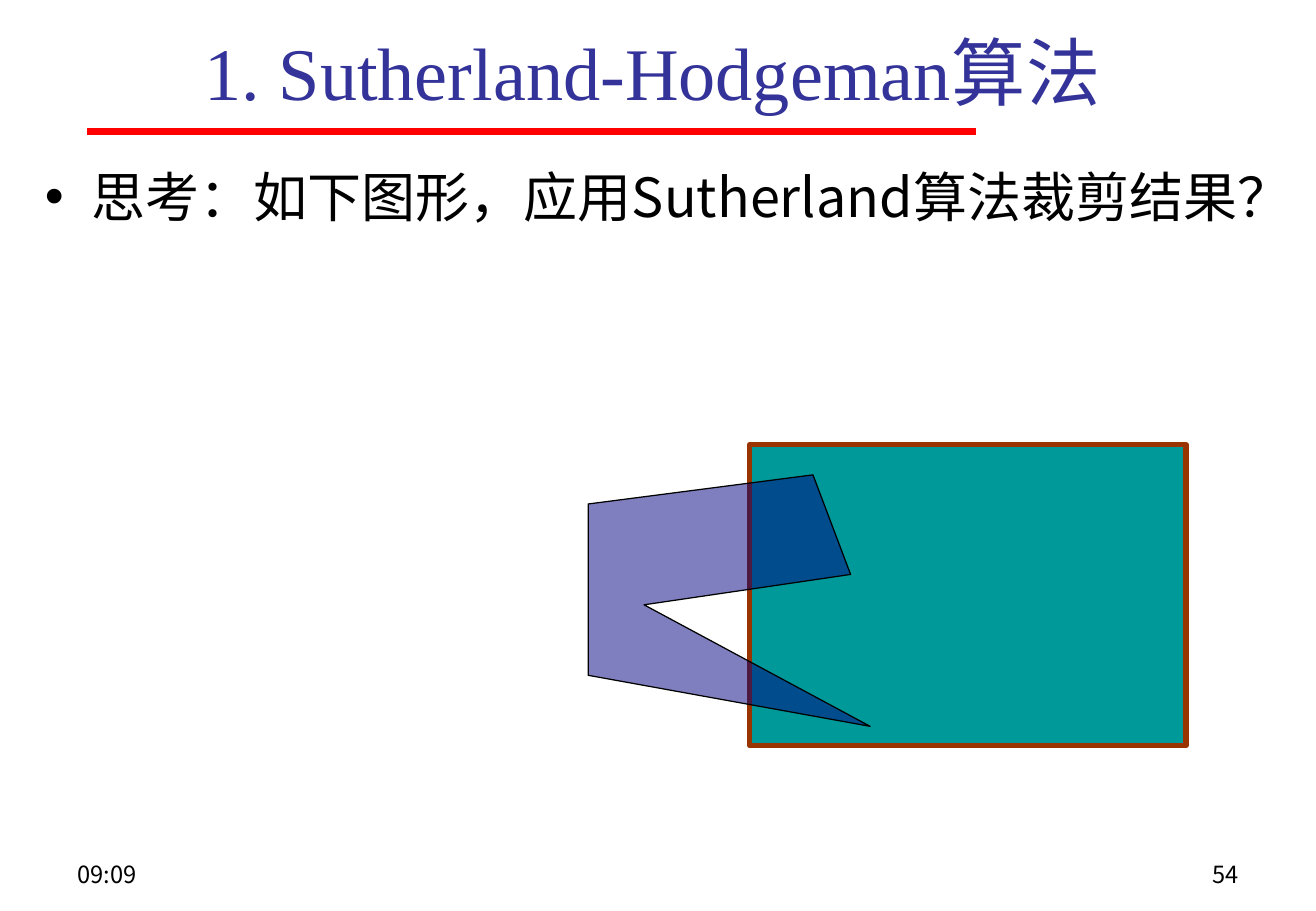
from lxml import etree
from pptx import Presentation
from pptx.dml.color import RGBColor
from pptx.enum.shapes import MSO_CONNECTOR as CONN, MSO_SHAPE as SHAPE
from pptx.enum.text import MSO_ANCHOR as ANCHOR, MSO_AUTO_SIZE as AUTO, PP_ALIGN as ALIGN
from pptx.oxml.ns import qn
from pptx.util import Inches, Pt

COLORS = {"title": "333399", "text": "000000", "rule": "FF0000", "window": "009999",
          "window_edge": "993300", "polygon": "000080", "polygon_edge": "000000"}
CJK = "Noto Sans CJK SC"


def rgb(name):
    return RGBColor.from_string(COLORS[name])


def write(tf, text, size, font, color, align, anchor=ANCHOR.TOP, spacing=0.82):
    tf.word_wrap = True
    tf.auto_size = AUTO.NONE
    tf.vertical_anchor = anchor
    p = tf.paragraphs[0]
    p.alignment = align
    p.space_before = Pt(0)
    p.line_spacing = spacing
    r = p.add_run()
    r.text = text
    r.font.size = Pt(size)
    r.font.name = font
    r.font.color.rgb = rgb(color)
    ea = etree.SubElement(r.font._element, qn("a:ea"))
    ea.set("typeface", CJK)
    return p


prs = Presentation()
prs.slide_width, prs.slide_height = Inches(10.83), Inches(7.5)
s = prs.slides.add_slide(prs.slide_layouts[1])

rule = s.shapes.add_connector(CONN.STRAIGHT, Inches(0.72), Inches(1.08), Inches(8.03), Inches(1.08))
rule.line.color.rgb = rgb("rule")
rule.line.width = Pt(4)
etree.SubElement(rule._element.spPr, qn("a:effectLst"))

title = s.shapes.title
title.left, title.top, title.width, title.height = map(Inches, (0.18, 0.08, 10.38, 1))
write(title.text_frame, "1. Sutherland-Hodgeman算法", 44, "Times New Roman", "title",
      ALIGN.CENTER, ANCHOR.MIDDLE, 1.0)

body = s.placeholders[1]
body.left, body.top, body.width, body.height = map(Inches, (0.27, 1.39, 10.38, 5.61))
p = write(body.text_frame, "思考：如下图形，应用Sutherland算法裁剪结果？", 32, CJK, "text", ALIGN.LEFT)
pPr = p._p.get_or_add_pPr()
pPr.set("marL", str(Inches(0.38)))
pPr.set("indent", str(Inches(-0.38)))
etree.SubElement(pPr, qn("a:buFont")).set("typeface", "Arial")
etree.SubElement(pPr, qn("a:buChar")).set("char", "•")

window = s.shapes.add_shape(SHAPE.RECTANGLE, Inches(6.17), Inches(3.66), Inches(3.59), Inches(2.48))
points = [(4.84, 4.15), (6.69, 3.91), (7, 4.73), (5.3, 4.98), (7.16, 5.98), (4.84, 5.56)]
corners = [(Inches(x), Inches(y)) for x, y in points]
builder = s.shapes.build_freeform(*corners[0])
builder.add_line_segments(corners[1:], close=True)
polygon = builder.convert_to_shape()
for sp, name, width in ((window, "window", 3), (polygon, "polygon", 0.75)):
    sp.shadow.inherit = False
    sp.fill.solid()
    sp.fill.fore_color.rgb = rgb(name)
    sp.line.color.rgb = rgb(name + "_edge")
    sp.line.width = Pt(width)
fill = polygon._element.spPr.find(qn("a:solidFill"))
etree.SubElement(fill[0], qn("a:alpha")).set("val", "50000")

for left, text, align in ((0.54, "09:09", ALIGN.LEFT), (7.76, "54", ALIGN.RIGHT)):
    box = s.shapes.add_textbox(Inches(left), Inches(7.07), Inches(2.53), Inches(0.35))
    write(box.text_frame, text, 14, CJK, "text", align)

prs.save("out.pptx")
